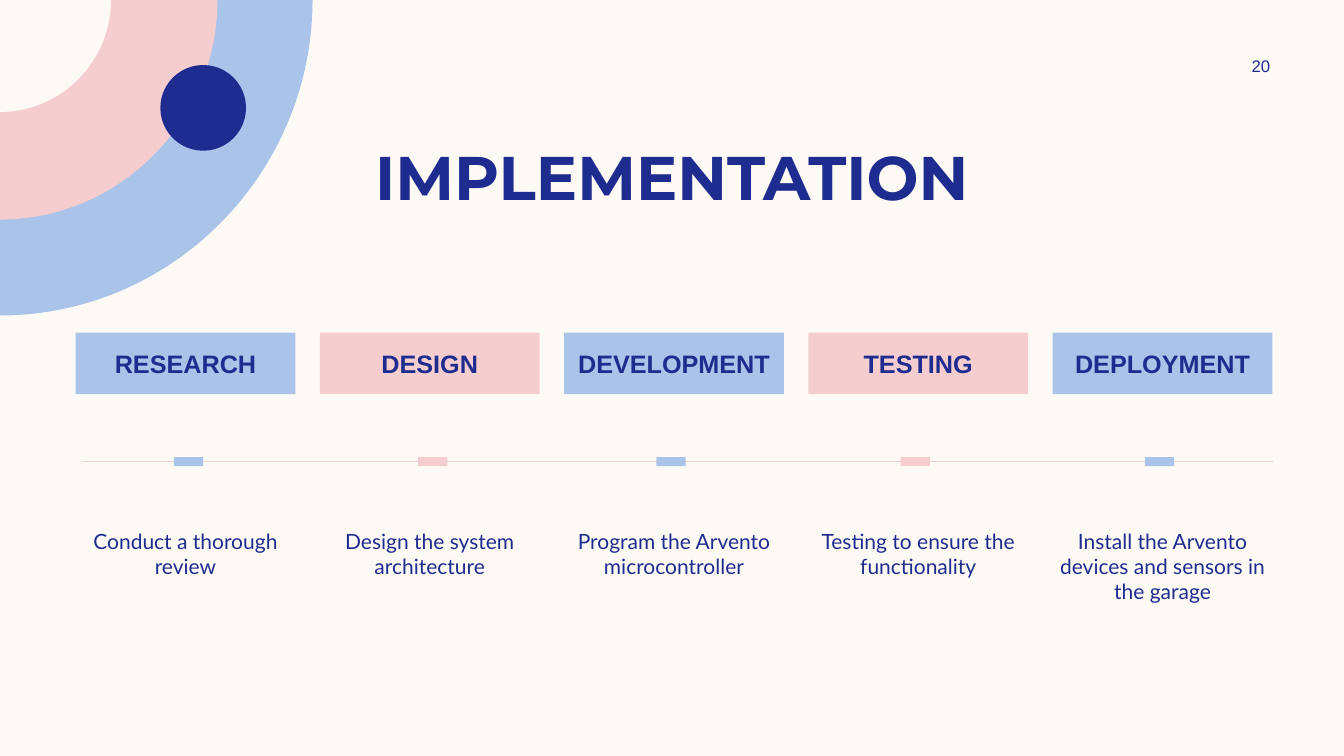
from lxml import etree
from pptx import Presentation
from pptx.dml.color import RGBColor
from pptx.enum.shapes import MSO_CONNECTOR as CONN, MSO_SHAPE as SHAPE
from pptx.enum.text import MSO_ANCHOR as ANCHOR, PP_ALIGN as ALIGN
from pptx.oxml.ns import qn
from pptx.util import Inches, Pt

W, H = 13.33, 7.5
ARC = 0.55
COLORS = {"cream": "FDFAF6", "blue": "AAC3E8", "pink": "F5CDCE",
          "navy": "1F2C8F", "line": "F2D1D1"}
PHASES = [
    ("RESEARCH", "Conduct a thorough review", 0.03),
    ("DESIGN", "Design the system architecture", 0.03),
    ("DEVELOPMENT", "Program the Arvento microcontroller", -0.03),
    ("TESTING", "Testing to ensure the functionality", -0.03),
    ("DEPLOYMENT", "Install the Arvento devices and sensors in the garage", -0.03),
]


def color(name):
    return RGBColor.from_string(COLORS[name])


def paint(sp, fill):
    sp.shadow.inherit = False
    sp.fill.solid()
    sp.fill.fore_color.rgb = color(fill)
    sp.line.fill.background()


def add_block(s, shape, box, fill):
    sp = s.shapes.add_shape(shape, *map(Inches, box))
    paint(sp, fill)
    return sp


def write(sp, text, size, font, bold=False, anchor=ANCHOR.TOP, margins=(0.1, 0.05)):
    tf = sp.text_frame
    tf.word_wrap = True
    tf.vertical_anchor = anchor
    tf.margin_left = tf.margin_right = Inches(margins[0])
    tf.margin_top = tf.margin_bottom = Inches(margins[1])
    p = tf.paragraphs[0]
    p.text = text
    p.alignment = ALIGN.CENTER
    p.font.size = Pt(size)
    p.font.name = font
    p.font.bold = bold
    p.font.color.rgb = color("navy")


def add_label(s, box, *args, **kwargs):
    write(s.shapes.add_textbox(*map(Inches, box)), *args, **kwargs)


def add_quarter_disc(s, x, y, w, h, fill):
    builder = s.shapes.build_freeform(Inches(x), Inches(y))
    builder.add_line_segments([(Inches(x + w), Inches(y)), (Inches(x), Inches(y + h))])
    sp = builder.convert_to_shape()
    chord = list(sp._element.iter(qn("a:lnTo")))[1]
    curve = etree.Element(qn("a:cubicBezTo"))
    for px, py in ((w, h * ARC), (w * ARC, h), (0, h)):
        etree.SubElement(curve, qn("a:pt"), x=str(Inches(px)), y=str(Inches(py)))
    chord.getparent().replace(chord, curve)
    paint(sp, fill)


def add_corner(s, x, y, w, h):
    for share, fill in ((1, "blue"), (0.696, "pink"), (0.355, "cream")):
        add_quarter_disc(s, x, y, w * share, h * share, fill)
    dot = 0.85
    add_block(s, SHAPE.OVAL, (x + 0.65 * w - dot / 2, y + 0.342 * h - dot / 2, dot, dot), "navy")


def add_header(s, x, y, w, h):
    add_label(s, (x, y + 0.83, w, h - 0.83), "IMPLEMENTATION", 44, "Montserrat", bold=True)
    add_label(s, (x + w - 0.53, y, 1.08, 0.3), "20", 12, "Arial", anchor=ANCHOR.MIDDLE)


def add_timeline(s, x, y, w, h):
    col_w, head_h, mark_w, mark_h, note_h = 2.18, 0.61, 0.29, 0.09, 0.87
    pitch = (w - col_w) / (len(PHASES) - 1)
    axis = y + 1.28
    line = s.shapes.add_connector(CONN.STRAIGHT, Inches(x + 0.06), Inches(axis),
                                  Inches(x + w + 0.01), Inches(axis))
    line.line.color.rgb = color("line")
    line.line.width = Pt(1)
    etree.SubElement(line._element.spPr, qn("a:effectLst"))

    for i, (name, note, shift) in enumerate(PHASES):
        left = x + i * pitch
        fill = ("blue", "pink")[i % 2]
        head = add_block(s, SHAPE.RECTANGLE, (left, y, col_w, head_h), fill)
        write(head, name, 18, "Arial", bold=True, anchor=ANCHOR.MIDDLE, margins=(0, 0))
        mark_x = left + (col_w - mark_w) / 2 + shift
        add_block(s, SHAPE.RECTANGLE, (mark_x, axis - mark_h / 2, mark_w, mark_h), fill)
        add_label(s, (left, y + h - note_h, col_w, note_h), note, 15, "Lato", margins=(0, 0.05))


def main():
    prs = Presentation()
    prs.slide_width, prs.slide_height = Inches(W), Inches(H)
    s = prs.slides.add_slide(prs.slide_layouts[6])
    s.background.fill.solid()
    s.background.fill.fore_color.rgb = color("cream")
    add_corner(s, 0, 0, 3.1, 3.13)
    add_header(s, W / 16, H / 15, W * 7 / 8, 1.67)
    add_timeline(s, 0.75, H * 0.44, 11.87, 2.76)
    prs.save("out.pptx")


if __name__ == "__main__":
    main()
